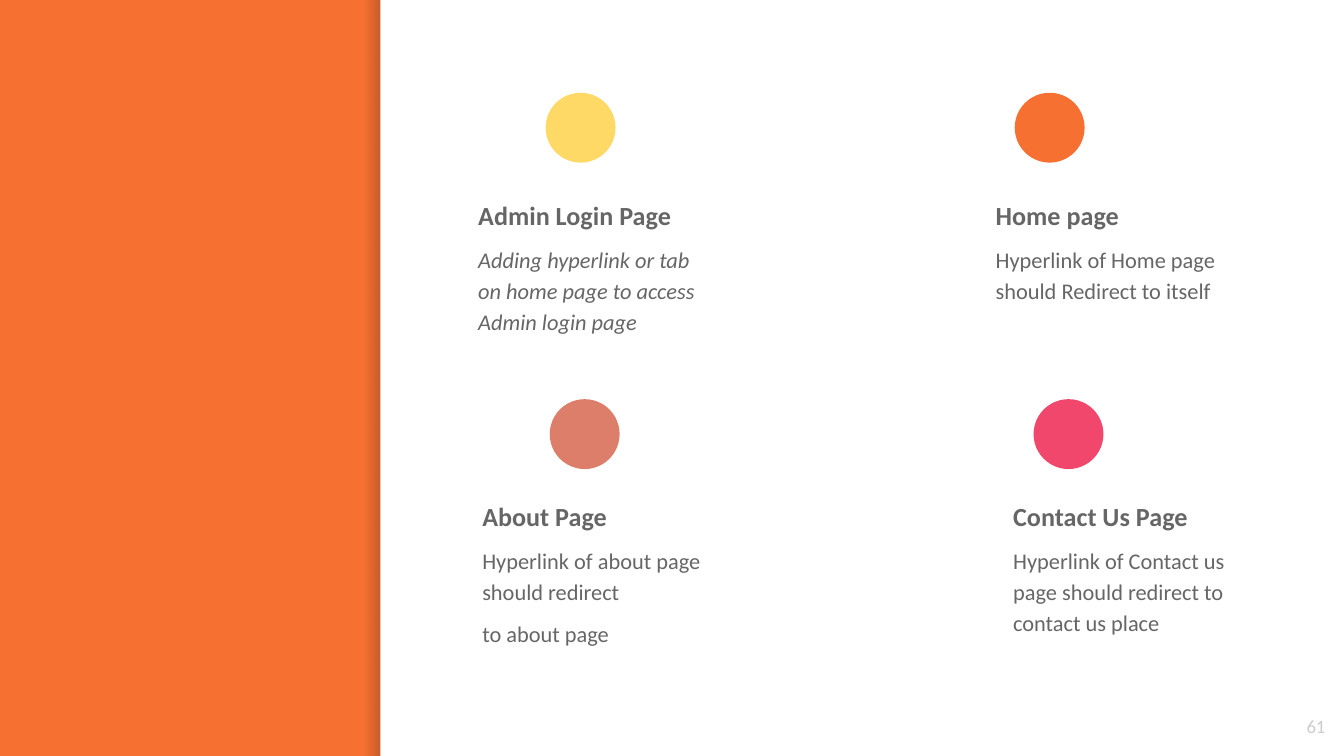
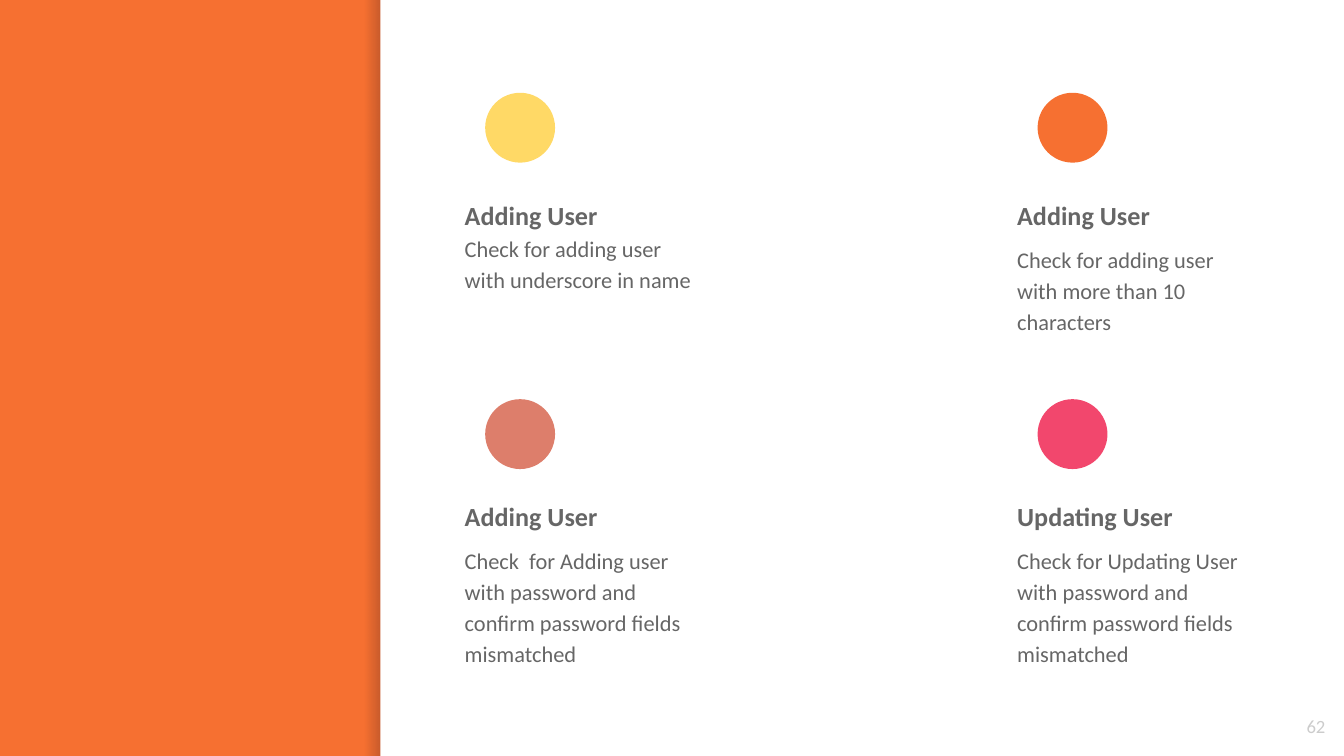
from pptx import Presentation
from pptx.dml.color import RGBColor
from pptx.enum.shapes import MSO_SHAPE as Shape
from pptx.enum.text import MSO_ANCHOR as Anchor, PP_ALIGN as Align
from pptx.oxml.ns import qn
from pptx.util import Inches, Pt
from lxml.etree import SubElement

WIDTH = 10
HEIGHT = WIDTH * 9 / 16
PANEL_LEFT, SHADE_WIDTH = 2.83, 0.12
ORANGE, WHITE, SHADE = "F67031", "FFFFFF", "000014"
TEXT, NUMBER = "666666", "CCCCCC"
DOT_STYLES = [("FFD966", 100), (ORANGE, 100), ("DD7E6B", 100), ("ED0036", 72)]
DOT_TOPS, CARD_TOPS = (0.69, 2.97), (1.35, 3.59)
DOT_SIZE = 0.52
CARD_WIDTH, CARD_HEIGHT = 1.96, 1.44

SLIDES = [
    (61, [
        (4.06, 3.46, "Admin Login Page",
         ["Adding hyperlink or tab on home page to access Admin login page"], {"italic": True}),
        (7.55, 7.31, "Home page", ["Hyperlink of Home page should Redirect to itself"], {}),
        (4.09, 3.49, "About Page",
         ["Hyperlink of about page should redirect", "to about page"], {}),
        (7.69, 7.44, "Contact Us Page",
         ["Hyperlink of Contact us page should redirect to contact us place"], {}),
    ]),
    (62, [
        (3.61, 3.36, "Adding User",
         ["Check for adding user with underscore in name"], {"joined": True}),
        (7.72, 7.47, "Adding User",
         ["Check for adding user with more than 10 characters"], {}),
        (3.61, 3.36, "Adding User",
         ["Check  for Adding user with password and confirm password fields mismatched"], {}),
        (7.72, 7.47, "Updating User",
         ["Check for Updating User with password and confirm password fields mismatched"], {}),
    ]),
]


def color(value):
    return RGBColor.from_string(value)


def set_alpha(color_element, percent):
    SubElement(color_element, qn("a:alpha")).set("val", str(percent * 1000))


class SlideBuilder:
    font_name = "Calibri"
    inset = Inches(0.1)

    def __init__(self, deck):
        self.deck = deck
        self.page = None

    def start_page(self):
        self.page = self.deck.slides.add_slide(self.deck.slide_layouts[6])
        background = self.page.background.fill
        background.solid()
        background.fore_color.rgb = color(ORANGE)
        self.edge_shade()
        self.shape(Shape.RECTANGLE, PANEL_LEFT, 0, WIDTH - PANEL_LEFT, HEIGHT, WHITE)

    def shape(self, kind, left, top, width, height, fill, alpha=100):
        shape = self.page.shapes.add_shape(
            kind, Inches(left), Inches(top), Inches(width), Inches(height))
        shape.shadow.inherit = False
        shape.line.fill.background()
        shape.fill.solid()
        shape.fill.fore_color.rgb = color(fill)
        if alpha < 100:
            set_alpha(shape.fill._xPr.find(".//" + qn("a:srgbClr")), alpha)
        return shape

    def edge_shade(self):
        strip = self.shape(Shape.RECTANGLE, PANEL_LEFT - SHADE_WIDTH, 0,
                           SHADE_WIDTH, HEIGHT, SHADE)
        strip._element.spPr.find(qn("a:xfrm")).set("flipH", "1")
        strip.fill.gradient()
        strip.fill.gradient_angle = 0
        for stop, position, alpha in zip(strip.fill.gradient_stops, (0, 1), (20, 0)):
            stop.position = position
            stop.color.rgb = color(SHADE)
            set_alpha(stop._gs.find(qn("a:srgbClr")), alpha)

    def text_frame(self, left, top, width, height, anchor=Anchor.TOP):
        box = self.page.shapes.add_textbox(
            Inches(left), Inches(top), Inches(width), Inches(height))
        frame = box.text_frame
        frame.word_wrap = True
        frame.vertical_anchor = anchor
        frame.margin_left = frame.margin_right = self.inset
        frame.margin_top = frame.margin_bottom = self.inset
        return frame

    def style(self, font, size, shade=TEXT, bold=False, italic=False):
        font.name = self.font_name
        font.size = Pt(size)
        font.bold = bold
        font.italic = italic
        font.color.rgb = color(shade)

    def card(self, left, top, heading, lines, italic=False, joined=False):
        frame = self.text_frame(left, top, CARD_WIDTH, CARD_HEIGHT)
        para = frame.paragraphs[0]
        para.line_spacing = 1.15
        span = para.add_run()
        span.text = heading
        self.style(span.font if joined else para.font, 14, bold=True)
        for line in lines:
            if joined:
                para.add_line_break()
            else:
                para = frame.add_paragraph()
                para.line_spacing = 1.15
                para.space_before = Pt(6)
            span = para.add_run()
            span.text = line
            self.style(span.font if joined else para.font, 12, italic=italic)

    def page_number(self, number):
        frame = self.text_frame(9.36, 5.19, 0.6, 0.43, Anchor.MIDDLE)
        para = frame.paragraphs[0]
        para.text = str(number)
        para.alignment = Align.RIGHT
        self.style(para.font, 10, NUMBER)


def main():
    deck = Presentation()
    deck.slide_width, deck.slide_height = Inches(WIDTH), Inches(HEIGHT)
    builder = SlideBuilder(deck)
    for number, cards in SLIDES:
        builder.start_page()
        for index, (dot_left, card_left, heading, lines, options) in enumerate(cards):
            row = index // 2
            builder.shape(Shape.OVAL, dot_left, DOT_TOPS[row], DOT_SIZE, DOT_SIZE,
                          *DOT_STYLES[index])
            builder.card(card_left, CARD_TOPS[row], heading, lines, **options)
        builder.page_number(number)
    deck.save("out.pptx")


if __name__ == "__main__":
    main()
